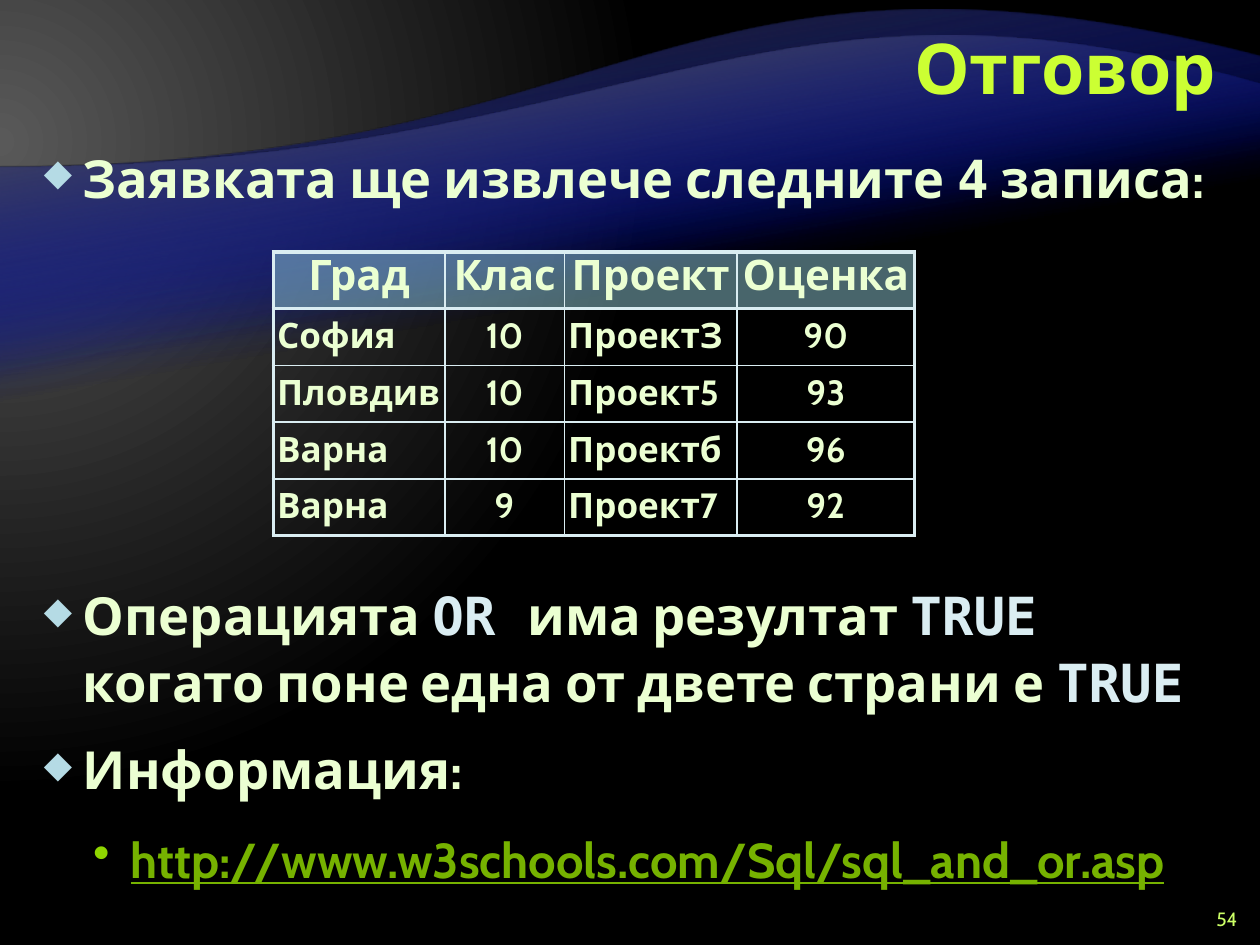
from lxml import etree
from pptx import Presentation
from pptx.dml.color import RGBColor
from pptx.enum.text import MSO_ANCHOR, PP_ALIGN
from pptx.oxml.ns import qn
from pptx.util import Inches, Pt

LEFT, CENTER, RIGHT = PP_ALIGN.LEFT, PP_ALIGN.CENTER, PP_ALIGN.RIGHT
TOP, MIDDLE = MSO_ANCHOR.TOP, MSO_ANCHOR.MIDDLE

SLIDE_W, SLIDE_H = 10, 7.5
SANS, MONO = "Cabin", "DejaVu Sans Mono"
LIME, PALE_LIME, LEAF, NUMBER_LIME = "CCFF33", "EBFFD2", "76B200", "CCFF66"
ICE, DIAMOND_BLUE, DOT_GREEN, HEADER_BLUE = "DAEDF2", "B5DBE5", "8FD600", "90CAD7"
WAVE_BLUE = "000D9E"

BODY_LEFT, BODY_TOP, BODY_W = 0.25, 1.08, 9.5
LINE, GAP = 38, 6                        # body line height and spacing, points
STEP = (LINE + 2 * GAP) / 72             # one body line with its spacing, inches

# Final-page left height and control points of each wave's upper edge
WAVES = [
    dict(top=0.45, bottom=6.53, bend=(5.34, -0.75), edge="262626"),
    dict(top=0.67, bottom=5.57, bend=(5.98, -0.49), edge="595959"),
]
WAVE_LEFT_Y = 1.33

RESULTS = [
    ["Град", "Клас", "Проект", "Оценка"],
    ["София", "10", "ПроектЗ", "90"],
    ["Пловдив", "10", "Проект5", "93"],
    ["Варна", "10", "Проектб", "96"],
    ["Варна", "9", "Проект7", "92"],
]
COLUMN_WIDTHS = [1.36, 0.95, 1.37, 1.41]
ROW_HEIGHT = 0.45


def rgb(color):
    return RGBColor.from_string(color)


def sub(parent, tag, **attributes):
    return etree.SubElement(parent, qn(tag), {k: str(v) for k, v in attributes.items()})


# Fills
def set_gradient(properties, stops, angle=None, focus=None):
    """Turn a solid fill into a gradient; stops are (percent, colour, alpha)."""
    solid = properties.find(qn("a:solidFill"))
    gradient = etree.Element(qn("a:gradFill"), rotWithShape="1")
    stop_list = sub(gradient, "a:gsLst")
    for position, color, alpha in stops:
        stop = sub(stop_list, "a:gs", pos=position * 1000)
        tint = sub(stop, "a:srgbClr", val=color)
        if alpha < 100:
            sub(tint, "a:alpha", val=alpha * 1000)
    if focus:
        circle = sub(gradient, "a:path", path="circle")
        sub(circle, "a:fillToRect", **{side: share * 1000 for side, share in zip("ltrb", focus)})
    else:
        sub(gradient, "a:lin", ang=angle * 60000, scaled=0)
    properties.replace(solid, gradient)


def add_background(slide):
    slide.background.fill.solid()
    properties = slide.element.find(".//" + qn("p:bgPr"))
    set_gradient(properties, [(0, "595959", 100), (83, "000000", 100)], focus=(20, 30, 135, 100))


def add_wave(slide, top, bottom, bend, edge):
    """Draw the wave upside down, then turn it by 180 degrees."""
    def turned(x, y):
        return Inches(SLIDE_W - x), Inches(top + bottom - y)

    left_end = turned(0, WAVE_LEFT_Y)
    right_end = turned(SLIDE_W, top)
    builder = slide.shapes.build_freeform(*turned(SLIDE_W, bottom))
    builder.add_line_segments([turned(0, bottom), left_end, right_end])
    wave = builder.convert_to_shape()
    # The edge between the two ends is a curve
    properties = wave.element.spPr
    straight = properties.findall(".//" + qn("a:lnTo"))[2]
    curve = etree.Element(qn("a:cubicBezTo"))
    for x, y in (turned(5, WAVE_LEFT_Y), turned(*bend), right_end):
        sub(curve, "a:pt", x=x, y=y - Inches(top))
    straight.getparent().replace(straight, curve)
    wave.rotation = 180
    wave.shadow.inherit = False
    wave.line.fill.background()
    wave.fill.solid()
    set_gradient(properties, [(65, WAVE_BLUE, 0), (100, edge, 100)], angle=80)


# Text
def add_run(paragraph, text, size=30, font=SANS, color=PALE_LIME, bold=True, underline=None):
    run = paragraph.add_run()
    run.text = text
    run.font.size = Pt(size)
    run.font.name = font
    run.font.bold = bold
    run.font.underline = underline
    run.font.color.rgb = rgb(color)


def add_frame(slide, left, top, width, height, anchor=TOP):
    box = slide.shapes.add_textbox(*map(Inches, (left, top, width, height)))
    frame = box.text_frame
    frame.word_wrap = True
    frame.vertical_anchor = anchor
    return frame


def add_bullet(frame, runs, first=False, char="◆", color=DIAMOND_BLUE, share=70,
               level=0, margin=0.31, hang=0.31):
    paragraph = frame.paragraphs[0] if first else frame.add_paragraph()
    paragraph.level = level
    properties = paragraph._p.get_or_add_pPr()
    properties.set("marL", str(Inches(margin)))
    properties.set("indent", str(-Inches(hang)))
    sub(sub(properties, "a:buClr"), "a:srgbClr", val=color)
    sub(properties, "a:buSzPct", val=share * 1000)
    sub(properties, "a:buChar", char=char)
    paragraph.line_spacing = Pt(LINE)
    paragraph.space_before = Pt(0 if first else GAP)
    paragraph.space_after = Pt(GAP)
    for text, style in runs:
        add_run(paragraph, text, **style)


def add_label(slide, text, box, line_spacing=None, **style):
    paragraph = add_frame(slide, *box, anchor=MIDDLE).paragraphs[0]
    paragraph.alignment = RIGHT
    paragraph.line_spacing = line_spacing
    add_run(paragraph, text, **style)


# Table
def set_borders(cell, **widths):
    properties = cell._tc.get_or_add_tcPr()
    for index, side in enumerate("LRTB"):
        line = etree.Element(qn("a:ln" + side), w=str(Pt(widths[side])))
        sub(sub(line, "a:solidFill"), "a:srgbClr", val=ICE)
        properties.insert(index, line)


def add_results(slide, left, top):
    row_count, column_count = len(RESULTS), len(COLUMN_WIDTHS)
    table = slide.shapes.add_table(
        row_count, column_count, Inches(left), Inches(top),
        Inches(sum(COLUMN_WIDTHS)), Inches(ROW_HEIGHT * row_count)).table
    table.first_row = table.horz_banding = False
    for column, width in zip(table.columns, COLUMN_WIDTHS):
        column.width = Inches(width)
    for r, record in enumerate(RESULTS):
        table.rows[r].height = Inches(ROW_HEIGHT)
        header = r == 0
        for c, value in enumerate(record):
            cell = table.cell(r, c)
            cell.margin_left = cell.margin_right = Inches(0.03)
            cell.margin_top = cell.margin_bottom = 0
            if header:
                cell.fill.solid()
                cell.fill.fore_color.rgb = rgb(HEADER_BLUE)
                sub(cell._tc.tcPr.find(".//" + qn("a:srgbClr")), "a:alpha", val=50000)
            else:
                cell.fill.background()
            # Thick lines run round the table and under the header
            thick = dict(L=c == 0, R=c == column_count - 1,
                         T=r <= 1, B=r in (0, row_count - 1))
            set_borders(cell, **{side: 2.25 if on else 1 for side, on in thick.items()})
            paragraph = cell.text_frame.paragraphs[0]
            paragraph.alignment = CENTER if header or c % 2 else LEFT
            paragraph.line_spacing = 0.95 if header else 1.15
            add_run(paragraph, value, size=24 if header else 20)


def main():
    deck = Presentation()
    deck.slide_width, deck.slide_height = Inches(SLIDE_W), Inches(SLIDE_H)
    slide = deck.slides.add_slide(deck.slide_layouts[6])

    # Backdrop: the pair of waves is laid twice for a deeper tone
    add_background(slide)
    for wave in WAVES * 2:
        add_wave(slide, **wave)

    # Title and statement above the table
    add_label(slide, "Отговор", (2, 0.08, 7.75, 1), line_spacing=Pt(40), size=40, color=LIME)
    code = dict(font=MONO, color=ICE)
    statement = add_frame(slide, BODY_LEFT, BODY_TOP, BODY_W, STEP)
    add_bullet(statement, [("Заявката ще извлече следните ", {}), ("4", dict(font=MONO)),
                           (" записа:", {})], first=True)

    # Explanation and reference five lines further down
    notes_top = BODY_TOP + 5 * STEP
    notes = add_frame(slide, BODY_LEFT, notes_top, BODY_W, 7.25 - notes_top)
    add_bullet(notes, [("Операцията ", {}), ("OR ", code), ("има резултат ", {}),
                       ("TRUE ", code), ("когато поне една от двете страни е ", {}),
                       ("TRUE", code)], first=True)
    add_bullet(notes, [("Информация:", {})])
    add_bullet(notes, [("http://www.w3schools.com/Sql/sql_and_or.asp",
                        dict(size=28, color=LEAF, underline=True))],
               char="•", color=DOT_GREEN, share=100, level=1, margin=0.69, hang=0.3)

    # Slide number and query result
    add_label(slide, "54", (9.42, 7.17, 0.5, 0.25), size=11, color=NUMBER_LIME, bold=False)
    add_results(slide, 2.17, 2)
    deck.save("out.pptx")


if __name__ == "__main__":
    main()
